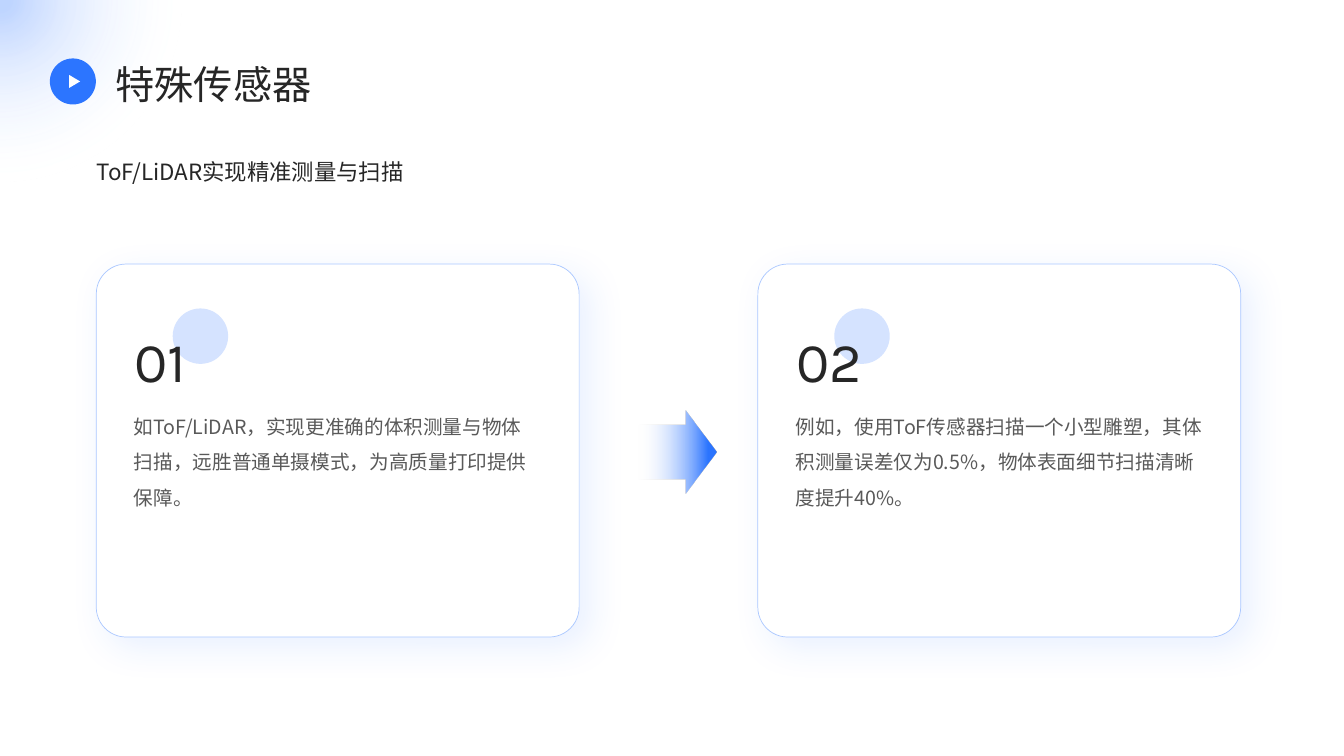
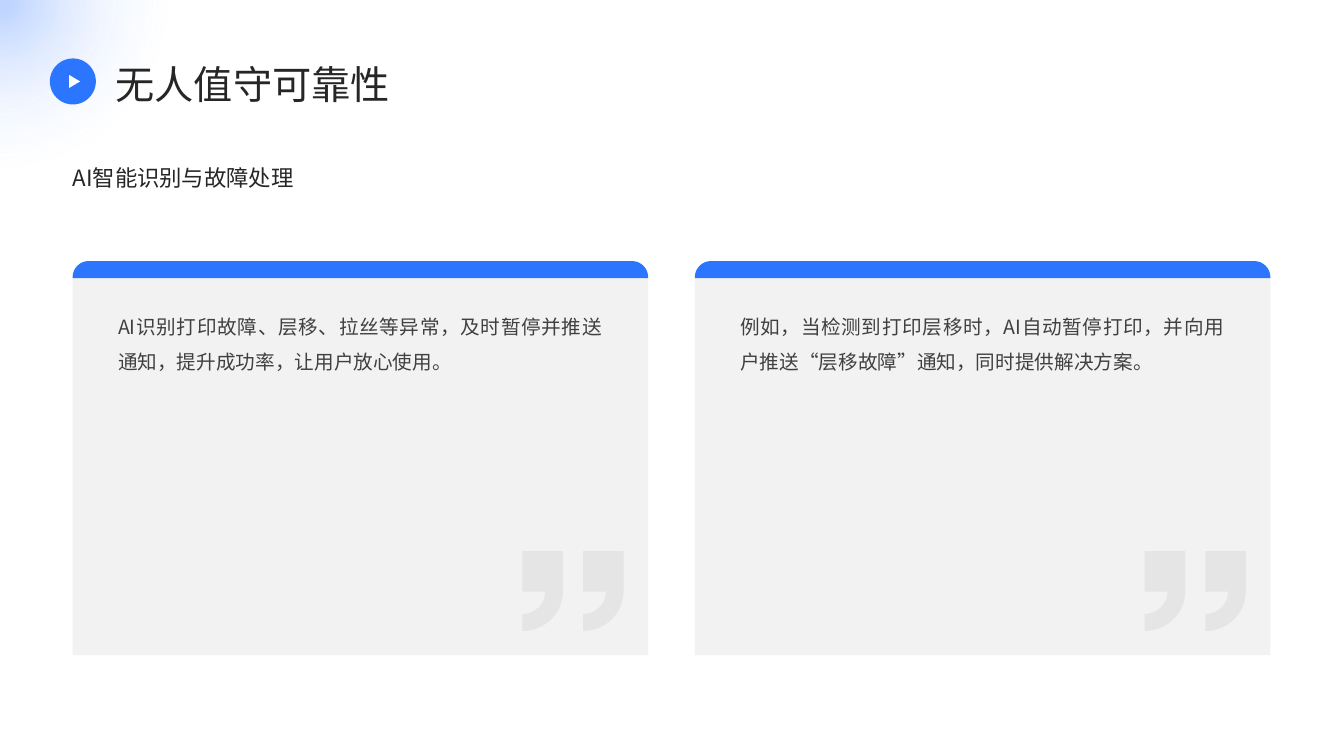
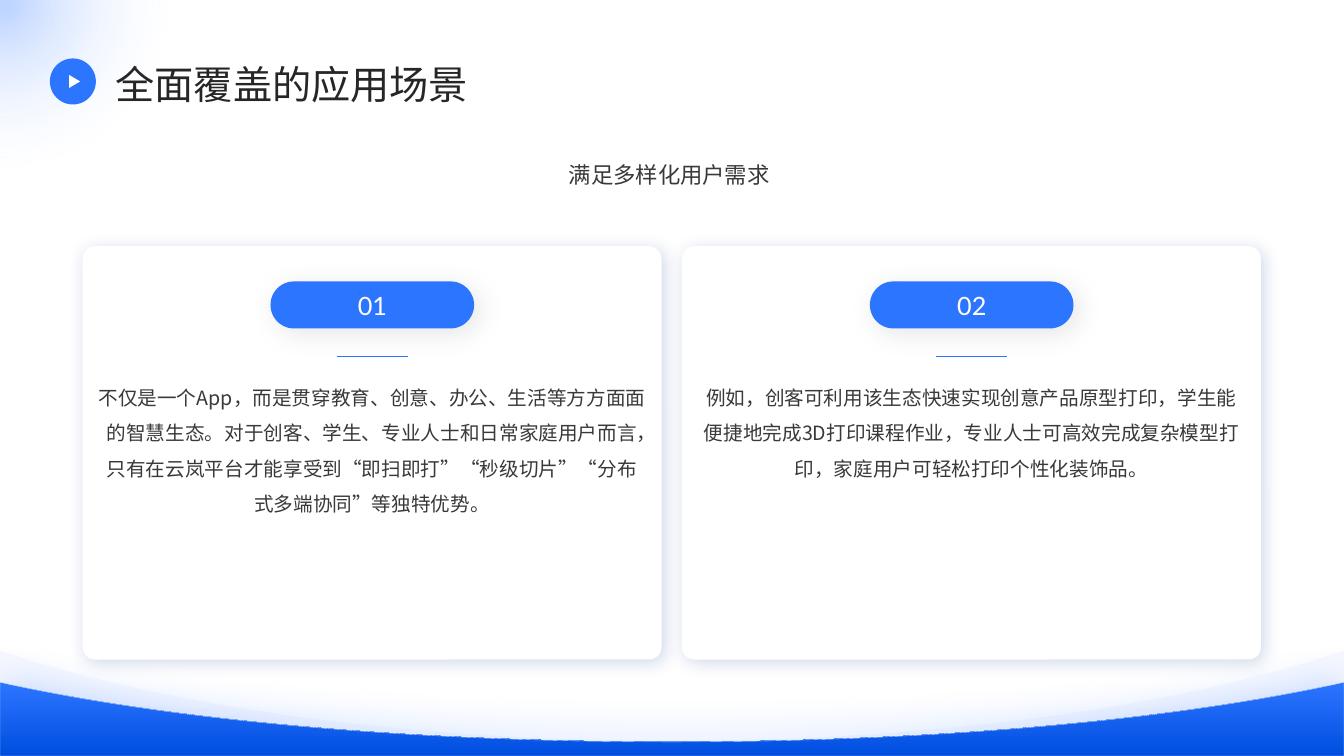
"""Build three slides about smart 3D printing on a grid of 80 columns by 45 rows."""
from lxml.etree import SubElement
from pptx import Presentation
from pptx.dml.color import RGBColor
from pptx.enum.shapes import MSO_CONNECTOR, MSO_SHAPE
from pptx.enum.text import MSO_ANCHOR, MSO_AUTO_SIZE, PP_ALIGN
from pptx.oxml import parse_xml
from pptx.oxml.ns import nsdecls, qn
from pptx.util import Inches, Pt

COLUMNS, ROWS = 80, 45
UNIT = Inches(7.5) / ROWS
ROUNDNESS = 0.55

BLUE = RGBColor(0x2C, 0x75, 0xFF)
DEEP_BLUE = RGBColor(0x00, 0x4E, 0xE0)
NAVY = RGBColor(0x00, 0x34, 0x96)
SKY = RGBColor(0xAB, 0xC8, 0xFF)
PALE_BLUE = RGBColor(0xD5, 0xE3, 0xFF)
WHITE = RGBColor(0xFF, 0xFF, 0xFF)
BLACK = RGBColor(0x00, 0x00, 0x00)
PANEL_GREY = RGBColor(0xF2, 0xF2, 0xF2)
QUOTE_GREY = RGBColor(0xD9, 0xD9, 0xD9)
INK = RGBColor(0x26, 0x26, 0x26)
DARK_GREY = RGBColor(0x40, 0x40, 0x40)
MID_GREY = RGBColor(0x59, 0x59, 0x59)
WARM_GREY = RGBColor(0x3B, 0x38, 0x38)

CJK_FONT = "Noto Sans CJK SC"


def grid(*lengths):
    """Turn grid units into EMU."""
    return [round(length * UNIT) for length in lengths]


def color_xml(color, alpha=100):
    """Return a colour element with its opacity in percent."""
    return f'<a:srgbClr val="{color}"><a:alpha val="{alpha * 1000}"/></a:srgbClr>'


def replace_fill(shape, xml):
    """Put a fill written as XML in place of the solid one."""
    properties = shape._element.spPr
    properties.replace(properties.find(qn("a:solidFill")), parse_xml(xml))


def fade(shape, color, alpha):
    """Give a shape a see-through solid fill."""
    replace_fill(shape, f'<a:solidFill {nsdecls("a")}>{color_xml(color, alpha)}</a:solidFill>')


def gradient(shape, stops, angle=None):
    """Fill with (position, colour, alpha) stops, along an angle or from the centre."""
    stop_list = "".join(
        f'<a:gs pos="{position * 1000}">{color_xml(color, alpha)}</a:gs>'
        for position, color, alpha in stops)
    if angle is None:
        course = ('<a:path path="circle"><a:fillToRect l="50000" t="50000" '
                  'r="50000" b="50000"/></a:path>')
    else:
        course = f'<a:lin ang="{angle * 60000}" scaled="0"/>'
    replace_fill(shape, f'<a:gradFill {nsdecls("a")} rotWithShape="1">'
                        f'<a:gsLst>{stop_list}</a:gsLst>{course}</a:gradFill>')


def cast_shadow(shape, color, alpha, blur, distance, angle):
    """Add an outer shadow measured in points and degrees."""
    shape._element.spPr.find(qn("a:effectLst")).append(parse_xml(
        f'<a:outerShdw {nsdecls("a")} blurRad="{Pt(blur)}" dist="{Pt(distance)}" '
        f'dir="{angle * 60000}" algn="ctr" rotWithShape="0">'
        f'{color_xml(color, alpha)}</a:outerShdw>'))


def paint(shape, color, border=None, border_width=0.25):
    """Set fill and border, and drop the theme shadow."""
    shape.shadow.inherit = False
    shape.fill.solid()
    shape.fill.fore_color.rgb = color
    if border is None:
        shape.line.fill.background()
    else:
        shape.line.color.rgb = border
        shape.line.width = Pt(border_width)
    return shape


def add_preset(slide, kind, box, color, border=None, border_width=0.25, adjust=()):
    """Add a painted preset shape in a grid box."""
    shape = slide.shapes.add_shape(kind, *grid(*box))
    for index, value in enumerate(adjust):
        shape.adjustments[index] = value
    return paint(shape, color, border, border_width)


def add_outline(slide, start, segments, color, border=None):
    """Add a closed outline; a segment holds one point for a line, three for a curve."""
    builder = slide.shapes.build_freeform(*grid(*start))
    builder.add_line_segments([grid(*point) for segment in segments for point in segment])
    shape = builder.convert_to_shape()
    lines = shape._element.iter(qn("a:lnTo"))
    for segment, steps in [(segment, [next(lines) for _ in segment])
                           for segment in segments]:
        if len(segment) == 3:
            curve = SubElement(steps[0].getparent(), qn("a:cubicBezTo"))
            steps[0].addprevious(curve)
            for step in steps:
                curve.append(step[0])
                step.getparent().remove(step)
    return paint(shape, color, border)


def quarter(start, corner, end):
    """Return the curve that rounds a corner between two points."""
    handles = [tuple(a + (b - a) * ROUNDNESS for a, b in zip(point, corner))
               for point in (start, end)]
    return [*handles, end]


def write(shape, text, size, color, font=CJK_FONT, align=PP_ALIGN.LEFT,
          spacing=1.5, anchor=MSO_ANCHOR.TOP):
    """Set and format the one paragraph of a shape."""
    frame = shape.text_frame
    frame.word_wrap = True
    frame.vertical_anchor = anchor
    frame.margin_left = frame.margin_right = frame.margin_top = frame.margin_bottom = 0
    frame.text = text
    paragraph = frame.paragraphs[0]
    paragraph.alignment = align
    paragraph.line_spacing = spacing
    run = paragraph.runs[0]
    run.font.size = Pt(size)
    run.font.name = font
    run.font.color.rgb = color
    run._r.get_or_add_rPr().find(qn("a:latin")).addnext(
        parse_xml(f'<a:ea {nsdecls("a")} typeface="{font}"/>'))


def add_text(slide, box, text, size, color, grow=False, **style):
    """Add a text box in a grid box."""
    text_box = slide.shapes.add_textbox(*grid(*box))
    write(text_box, text, size, color, **style)
    if grow:
        text_box.text_frame.auto_size = MSO_AUTO_SIZE.SHAPE_TO_FIT_TEXT


def add_rule(slide, x, y, length):
    """Add a thin blue horizontal line."""
    rule = slide.shapes.add_connector(MSO_CONNECTOR.STRAIGHT, *grid(x, y, x + length, y))
    rule.line.color.rgb = BLUE
    rule.line.width = Pt(0.5)
    rule._element.spPr.append(parse_xml(f'<a:effectLst {nsdecls("a")}/>'))


def add_slide(deck, title):
    """Add a blank slide with the corner glow, play button and title."""
    slide = deck.slides.add_slide(deck.slide_layouts[6])
    glow = add_preset(slide, MSO_SHAPE.OVAL, (-10.8, -10.8, 21.6, 21.6), WHITE)
    gradient(glow, [(4, BLUE, 30), (72, WHITE, 0)])
    add_text(slide, (6.88, 3.42, 68.7, 2.82), title, 28, INK,
             spacing=1.1, anchor=MSO_ANCHOR.MIDDLE)
    add_preset(slide, MSO_SHAPE.OVAL, (2.97, 3.48, 2.74, 2.74), BLUE)
    play = add_preset(slide, MSO_SHAPE.ISOSCELES_TRIANGLE, (4.05, 4.52, 0.78, 0.66), WHITE)
    play.rotation = 90
    return slide


def add_step_card(slide, x, number, body):
    """Add an outlined card with a large number over a pale dot."""
    card = add_preset(slide, MSO_SHAPE.ROUNDED_RECTANGLE, (x, 15.72, 28.74, 22.2),
                      WHITE, SKY, 0.5, adjust=[0.08])
    cast_shadow(card, BLUE, 10, 25, 10, 45)
    add_preset(slide, MSO_SHAPE.OVAL, (x + 4.55, 18.36, 3.3, 3.3), PALE_BLUE)
    add_text(slide, (x + 2.28, 19.38, 5.64, 3.66), number, 40, INK, grow=True,
             font="Karla", spacing=1.1, anchor=MSO_ANCHOR.MIDDLE)
    add_text(slide, (x + 2.24, 24, 24.2, 12.78), body, 14, MID_GREY)


def add_quote_mark(slide, x, y, size=2.41, notch=1.36):
    """Add one half of a closing quotation mark."""
    middle, right = y + size, x + size
    inner, outer = middle + notch - 0.02, middle + size - 0.06
    segments = [
        [(x, middle)],
        [(x + notch, middle)],
        quarter((x + notch, middle), (x + notch, inner), (x, inner)),
        [(x, outer)],
        quarter((x, outer), (right, outer), (right, middle)),
        [(right, y)],
        [(x, y)],
    ]
    fade(add_outline(slide, (x, y), segments, QUOTE_GREY), QUOTE_GREY, 50)


def add_cap(slide, x, bottom, width, height=1.02, radius=0.96):
    """Add a blue bar with rounded upper corners."""
    top, right = bottom - height, x + width
    shoulder = top + radius
    segments = [
        [(right - radius, top)],
        quarter((right - radius, top), (right, top), (right, shoulder)),
        [(right, bottom)],
        [(x, bottom)],
        [(x, shoulder)],
        quarter((x, shoulder), (x, top), (x + radius, top)),
    ]
    add_outline(slide, (x + radius, top), segments, BLUE)


def add_quote_panel(slide, x, body):
    """Add a grey panel with a blue cap and a quotation mark."""
    top, width = 16.56, 34.26
    add_preset(slide, MSO_SHAPE.RECTANGLE, (x, top, width, 22.44), PANEL_GREY)
    add_cap(slide, x, top, width)
    add_text(slide, (x + 2.71, 18.04, 28.8, 17.52), body, 14, DARK_GREY,
             align=PP_ALIGN.JUSTIFY)
    for half in range(2):
        add_quote_mark(slide, x + 26.78 + half * 3.61, 32.8)


def add_wave(slide, edge, shore, swell, trough, color, border=None):
    """Add a symmetric band that dips to the middle of the slide foot."""
    left = [(0.12, shore), (9.96, swell), (24.18, trough)]
    right = [(COLUMNS - x, y) for x, y in reversed(left)]
    segments = [
        left[:1],
        [*left[1:], (COLUMNS / 2, trough)],
        right,
        [(COLUMNS, edge)],
        [(COLUMNS, ROWS)],
        [(0, ROWS)],
        [(0, edge)],
    ]
    return add_outline(slide, (0, edge), segments, color, border)


def add_waves(slide):
    """Add the pale and the deep wave."""
    pale = add_wave(slide, 38.7, 38.76, 42.06, 44.1, PALE_BLUE)
    fade(pale, PALE_BLUE, 18)
    deep = add_wave(slide, 40.62, 40.64, 42.84, 44.16, BLUE, PALE_BLUE)
    gradient(deep, [(0, BLUE, 100), (100, DEEP_BLUE, 100)], 90)
    cast_shadow(deep, BLUE, 26, 29, 3, 270)


def add_scene_card(slide, x, number, body):
    """Add a white card with a numbered pill, a rule and centred text."""
    card = add_preset(slide, MSO_SHAPE.ROUNDED_RECTANGLE, (x, 14.66, 34.46, 24.6),
                      WHITE, adjust=[0.03])
    cast_shadow(card, NAVY, 19, 12, 3, 45)
    pill = add_preset(slide, MSO_SHAPE.ROUNDED_RECTANGLE, (x + 11.18, 16.75, 12.12, 2.8),
                      BLUE, adjust=[0.5])
    cast_shadow(pill, BLACK, 10, 20, 5, 45)
    add_text(slide, (x + 10.74, 16.75, 13.02, 2.8), number, 18, WHITE, font="Lato",
             align=PP_ALIGN.CENTER, spacing=1.0, anchor=MSO_ANCHOR.MIDDLE)
    add_rule(slide, x + 15.12, 21.21, 4.24)
    add_text(slide, (x + 0.88, 22.28, 32.7, 15.9), body, 14, WARM_GREY,
             align=PP_ALIGN.CENTER)


def build_sensors(deck):
    """Build the slide on special sensors."""
    slide = add_slide(deck, "特殊传感器")
    add_text(slide, (5.76, 8.82, 67.68, 1.98), "ToF/LiDAR实现精准测量与扫描", 16, INK,
             grow=True, anchor=MSO_ANCHOR.MIDDLE)
    bodies = [
        "如ToF/LiDAR，实现更准确的体积测量与物体扫描，远胜普通单摄模式，为高质量打印提供保障。",
        "例如，使用ToF传感器扫描一个小型雕塑，其体积测量误差仅为0.5%，物体表面细节扫描清晰度提升40%。",
    ]
    for index, body in enumerate(bodies):
        add_step_card(slide, 5.73 + index * 39.38, f"{index + 1:02}", body)
    arrow = add_preset(slide, MSO_SHAPE.RIGHT_ARROW, (37.5, 24.42, 5.16, 4.98), BLUE,
                       adjust=[0.65, 0.37])
    gradient(arrow, [(10, WHITE, 0), (90, BLUE, 100)], 0)


def build_reliability(deck):
    """Build the slide on unattended reliability."""
    slide = add_slide(deck, "无人值守可靠性")
    add_text(slide, (4.32, 6.66, 57.72, 7.08), "AI智能识别与故障处理", 16, INK,
             anchor=MSO_ANCHOR.MIDDLE)
    bodies = [
        "AI识别打印故障、层移、拉丝等异常，及时暂停并推送通知，提升成功率，让用户放心使用。",
        "例如，当检测到打印层移时，AI自动暂停打印，并向用户推送“层移故障”通知，同时提供解决方案。",
    ]
    for index, body in enumerate(bodies):
        add_quote_panel(slide, 4.32 + index * 37.04, body)


def build_scenes(deck):
    """Build the slide on application scenes."""
    slide = add_slide(deck, "全面覆盖的应用场景")
    add_waves(slide)
    add_text(slide, (8.82, 9.12, 62.04, 3.3), "满足多样化用户需求", 16, WARM_GREY,
             align=PP_ALIGN.CENTER, spacing=1.3)
    bodies = [
        "不仅是一个App，而是贯穿教育、创意、办公、生活等方方面面的智慧生态。对于创客、学生、专业人士和"
        "日常家庭用户而言，只有在云岚平台才能享受到“即扫即打”“秒级切片”“分布式多端协同”等独特优势。",
        "例如，创客可利用该生态快速实现创意产品原型打印，学生能便捷地完成3D打印课程作业，"
        "专业人士可高效完成复杂模型打印，家庭用户可轻松打印个性化装饰品。",
    ]
    for index, body in enumerate(bodies):
        add_scene_card(slide, 4.92 + index * 35.68, f"{index + 1:02}", body)


def main():
    """Build and save the deck."""
    deck = Presentation()
    deck.slide_width, deck.slide_height = grid(COLUMNS, ROWS)
    build_sensors(deck)
    build_reliability(deck)
    build_scenes(deck)
    deck.save("out.pptx")


if __name__ == "__main__":
    main()
